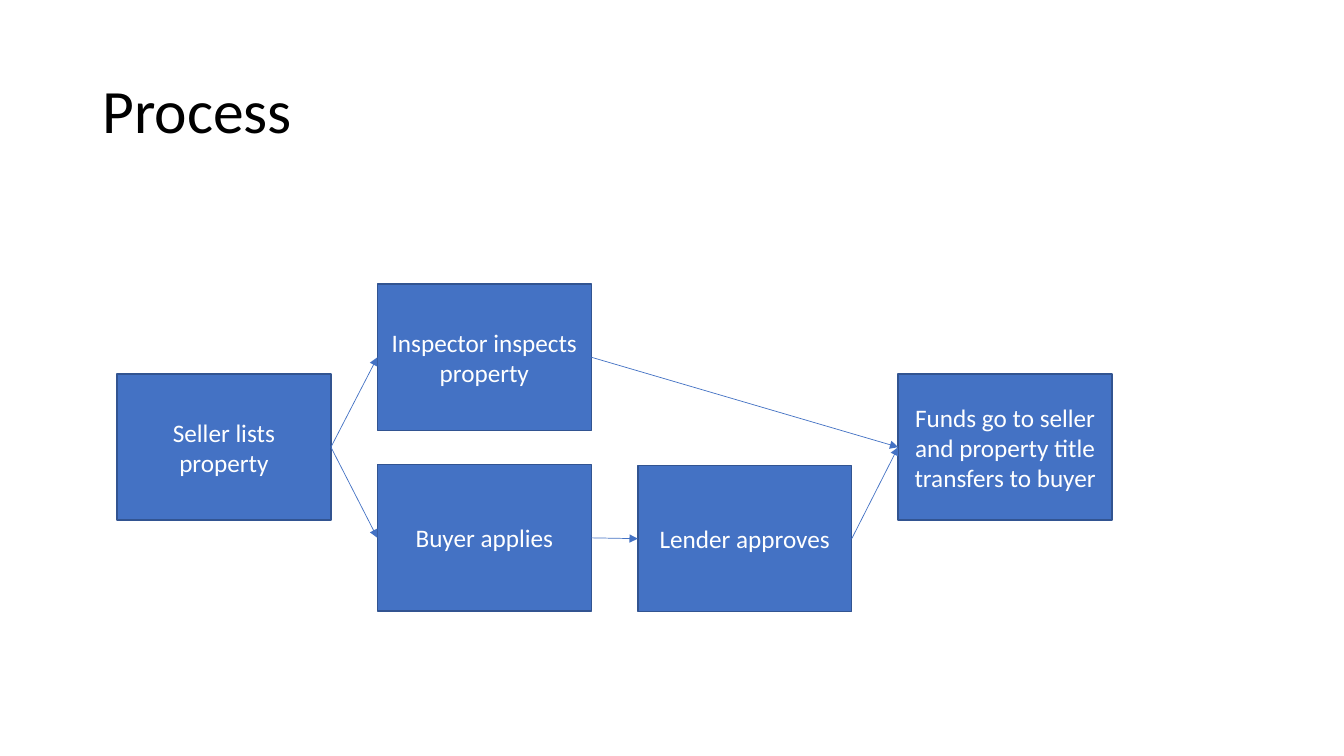
import pptx
import pptx.util
import pptx.dml.color
import pptx.enum.shapes
import pptx.enum.text
import pptx.oxml.ns
import lxml.etree
from dataclasses import dataclass

Pt = pptx.util.Pt
Align = pptx.enum.text.PP_ALIGN
RIGHT, LEFT = 3, 1  # connection sites of a rectangle


@dataclass
class Theme:
    font: str = "Calibri"
    ink: str = "000000"
    light: str = "FFFFFF"
    fill: str = "4472C4"
    edge: str = "325491"
    title: float = 44
    body: float = 18
    border: float = 1
    arrow: float = 0.5


class Sketch:
    def __init__(self, slide, theme):
        self.slide = slide
        self.theme = theme

    def color(self, code):
        return pptx.dml.color.RGBColor.from_string(code)

    def label(self, shape, text, size, code, align):
        """Fill the shape with one centred-in-height paragraph and return it."""
        frame = shape.text_frame
        frame.word_wrap = True
        frame.vertical_anchor = pptx.enum.text.MSO_ANCHOR.MIDDLE
        line = frame.paragraphs[0]
        line.alignment = align
        run = line.add_run()
        run.text = text
        run.font.name = self.theme.font
        run.font.size = Pt(size)
        run.font.color.rgb = self.color(code)
        return line

    def title(self, text, left, top, width, height):
        box = self.slide.shapes.add_textbox(Pt(left), Pt(top), Pt(width), Pt(height))
        line = self.label(box, text, self.theme.title, self.theme.ink, Align.LEFT)
        line.line_spacing = 0.9

    def step(self, text, left, top, width, height):
        box = self.slide.shapes.add_shape(
            pptx.enum.shapes.MSO_SHAPE.RECTANGLE,
            Pt(left), Pt(top), Pt(width), Pt(height))
        box.shadow.inherit = False
        box.fill.solid()
        box.fill.fore_color.rgb = self.color(self.theme.fill)
        box.line.color.rgb = self.color(self.theme.edge)
        box.line.width = Pt(self.theme.border)
        self.label(box, text, self.theme.body, self.theme.light, Align.CENTER)
        return box

    def arrow(self, start, end):
        """Join the right side of start to the left side of end."""
        link = self.slide.shapes.add_connector(
            pptx.enum.shapes.MSO_CONNECTOR.STRAIGHT, Pt(0), Pt(0), Pt(0), Pt(0))
        link.begin_connect(start, RIGHT)
        link.end_connect(end, LEFT)
        link.line.color.rgb = self.color(self.theme.fill)
        link.line.width = Pt(self.theme.arrow)
        name = pptx.oxml.ns.qn
        props = link.element.spPr
        head = lxml.etree.SubElement(props.find(name("a:ln")), name("a:tailEnd"))
        head.set("type", "triangle")
        lxml.etree.SubElement(props, name("a:effectLst"))


def main():
    deck = pptx.Presentation()
    deck.slide_width, deck.slide_height = Pt(960), Pt(540)
    sketch = Sketch(deck.slides.add_slide(deck.slide_layouts[6]), Theme())
    sketch.title("Process", 66.2, 28.8, 828, 104.4)

    left, pitch, width, height = 83.6, 186, 152.8, 104.4
    # key: text, column, top
    steps = {
        "list": ("Seller lists property", 0, 267.2),
        "inspect": ("Inspector inspects property", 1, 203),
        "apply": ("Buyer applies", 1, 332),
        "approve": ("Lender approves", 2, 332.6),
        "close": ("Funds go to seller and property title transfers to buyer", 3, 267.2),
    }
    boxes = {key: sketch.step(text, left + col * pitch, top, width, height)
             for key, (text, col, top) in steps.items()}

    links = [("list", "apply"), ("list", "inspect"), ("inspect", "close"),
             ("apply", "approve"), ("approve", "close")]
    for start, end in links:
        sketch.arrow(boxes[start], boxes[end])

    deck.save("out.pptx")


if __name__ == "__main__":
    main()
